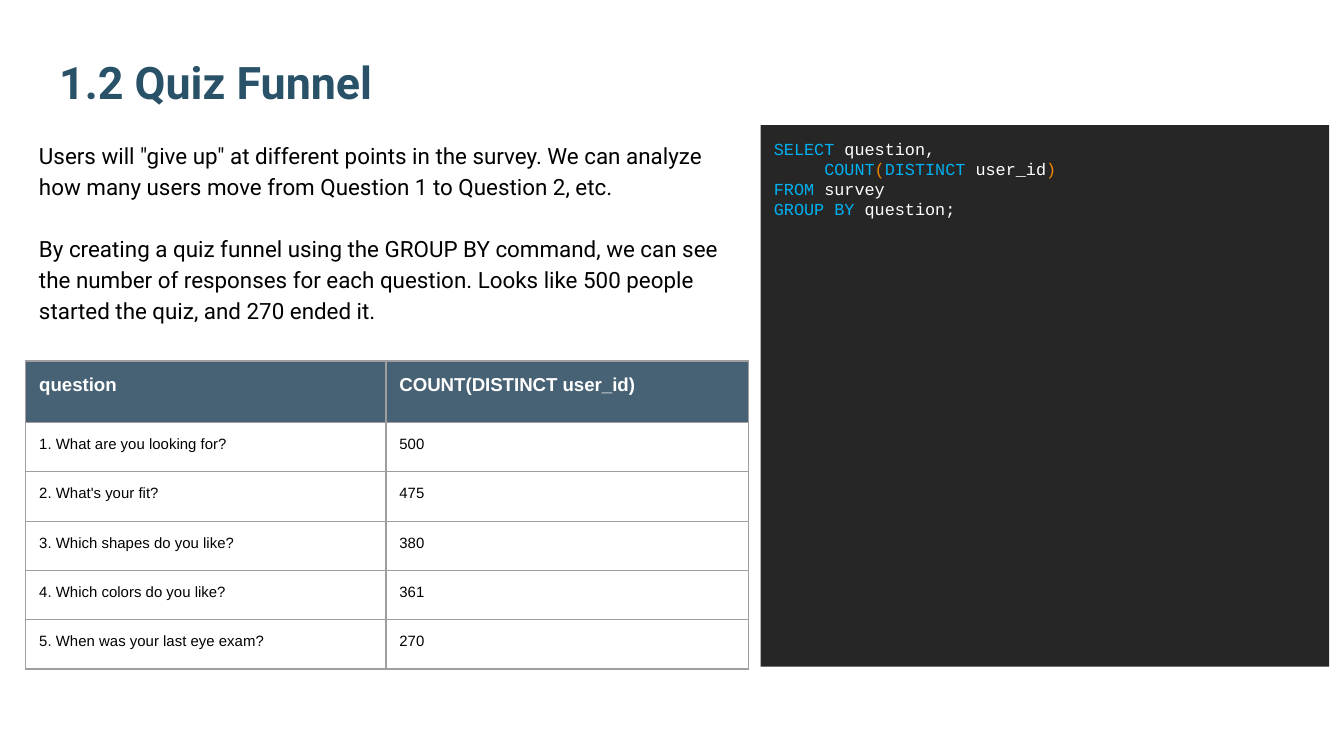
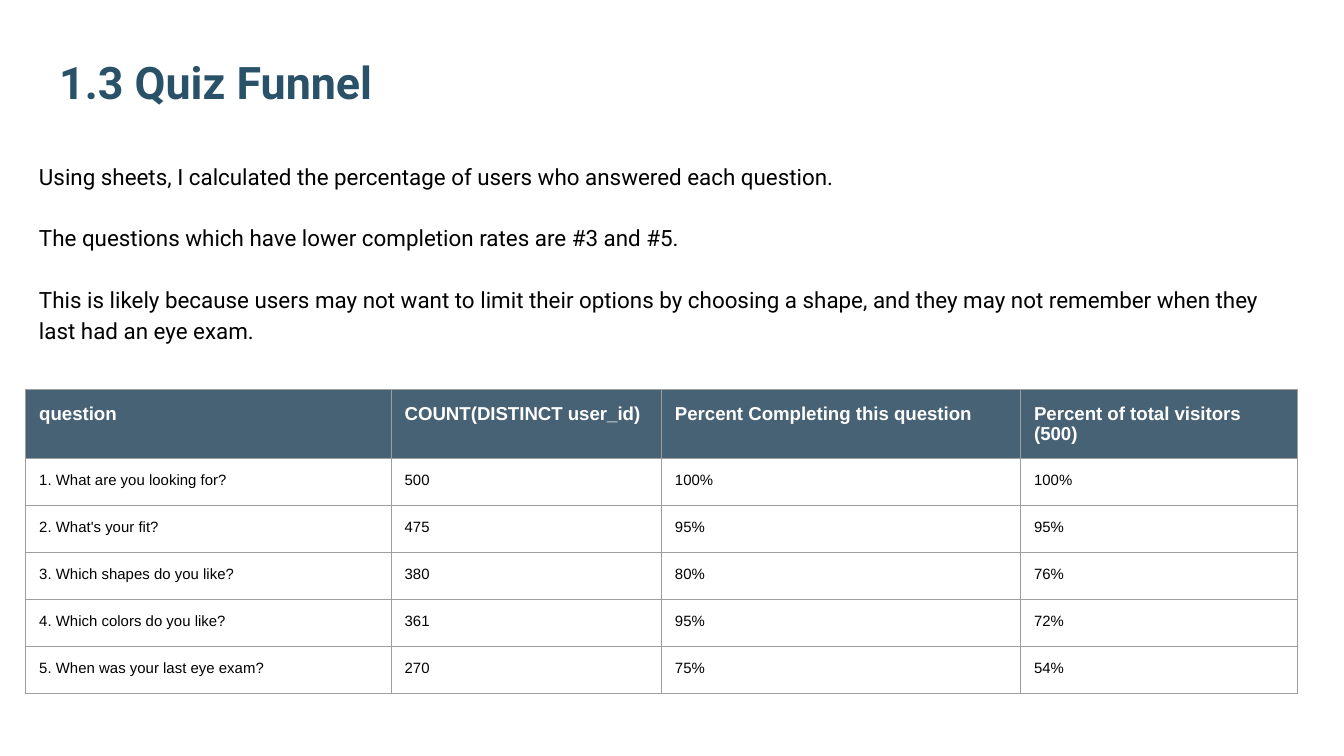
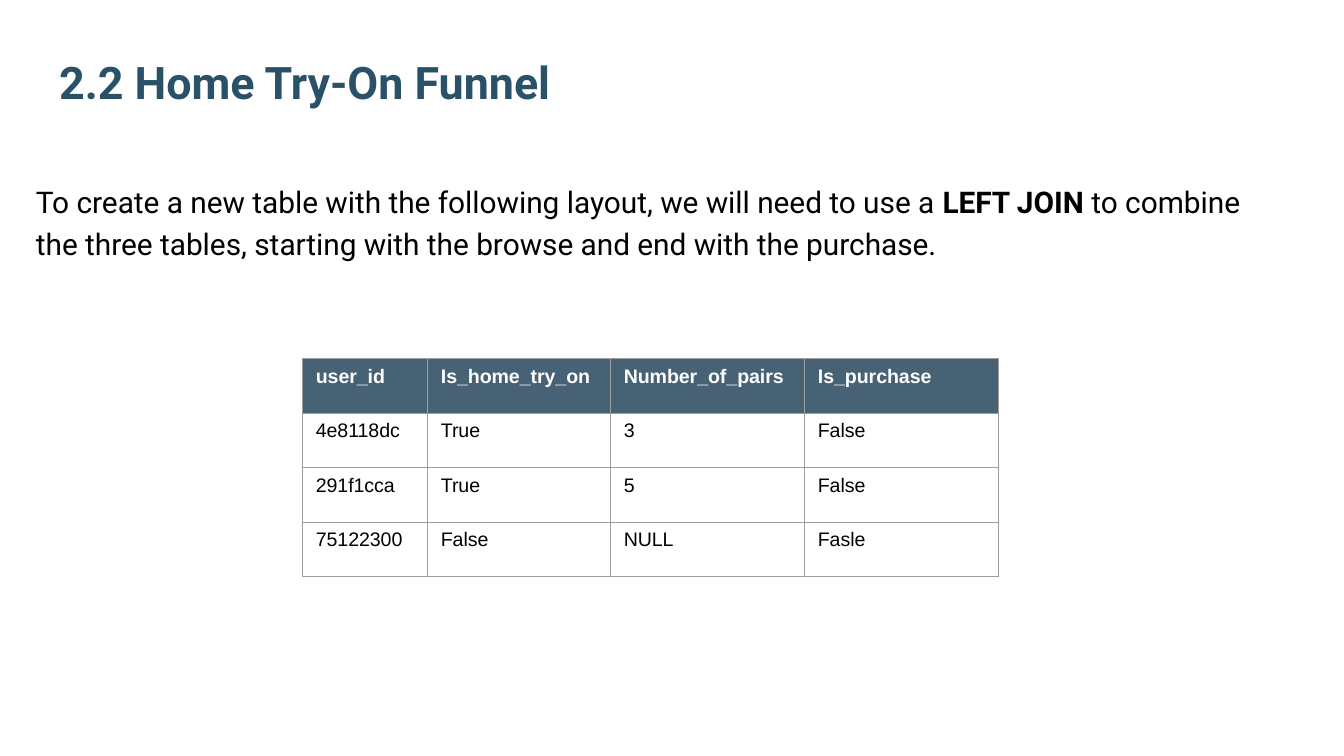
from lxml import etree
from pptx import Presentation
from pptx.dml.color import RGBColor
from pptx.enum.shapes import MSO_SHAPE
from pptx.enum.text import MSO_ANCHOR, MSO_AUTO_SIZE, PP_ALIGN
from pptx.oxml.ns import qn
from pptx.util import Pt

RECT = MSO_SHAPE.RECTANGLE
TOP, BOTTOM = MSO_ANCHOR.TOP, MSO_ANCHOR.BOTTOM
LEFT = PP_ALIGN.LEFT
NO_AUTOFIT = MSO_AUTO_SIZE.NONE

WHITE, BLACK = "FFFFFF", "000000"
TITLE_COLOR = "295269"
HEADER_FILL = "476274"
GRID = "9E9E9E"
CODE_FILL, KEYWORD, BRACKET = "262626", "00B0F0", "EF8600"

HEADING_FONT, TABLE_FONT, CODE_FONT = "Roboto", "Arial", "Courier New"
INSET = 7.2
LINE_SPACING = 1.15

QUIZ_HEADER = ["question", "COUNT(DISTINCT user_id)"]
QUIZ_ROWS = [
    ["1. What are you looking for?", "500"],
    ["2. What's your fit?", "475"],
    ["3. Which shapes do you like?", "380"],
    ["4. Which colors do you like?", "361"],
    ["5. When was your last eye exam?", "270"],
]
PERCENT_HEADER = ["Percent Completing this question",
                  "Percent of total visitors (500)"]
PERCENT_ROWS = [["100%", "100%"], ["95%", "95%"], ["80%", "76%"],
                ["95%", "72%"], ["75%", "54%"]]
TRY_ON_ROWS = [
    ["user_id", "Is_home_try_on", "Number_of_pairs", "Is_purchase"],
    ["4e8118dc", "True", "3", "False"],
    ["291f1cca", "True", "5", "False"],
    ["75122300", "False", "NULL", "Fasle"],
]
QUERY = [
    [("SELECT ", KEYWORD), ("question,", WHITE)],
    [("     ", WHITE), ("COUNT", KEYWORD), ("(", BRACKET),
     ("DISTINCT ", KEYWORD), ("user_id", WHITE), (")", BRACKET)],
    [("FROM ", KEYWORD), ("survey", WHITE)],
    [("GROUP BY ", KEYWORD), ("question;", WHITE)],
]


def rgb(color):
    return RGBColor.from_string(color)


def add_run(p, text, font, size, color, bold=False):
    r = p.add_run()
    r.text = text
    r.font.name = font
    r.font.size = Pt(size)
    r.font.color.rgb = rgb(color)
    r.font.bold = bold


def paragraphs(tf, count):
    """Return the frame's first paragraph followed by new ones, left aligned."""
    result = [tf.paragraphs[0]] + [tf.add_paragraph() for _ in range(count - 1)]
    for p in result:
        p.alignment = LEFT
    return result


def set_frame(tf, anchor=TOP):
    tf.word_wrap = True
    tf.auto_size = NO_AUTOFIT
    tf.vertical_anchor = anchor
    tf.margin_left = tf.margin_right = Pt(INSET)
    tf.margin_top = tf.margin_bottom = Pt(INSET)


def set_borders(cell, color, width):
    tc_pr = cell._tc.get_or_add_tcPr()
    for side in ("a:lnL", "a:lnR", "a:lnT", "a:lnB"):
        ln = etree.SubElement(tc_pr, qn(side), w=str(Pt(width)))
        fill = etree.SubElement(ln, qn("a:solidFill"))
        etree.SubElement(fill, qn("a:srgbClr"), val=color)


class Deck:
    def __init__(self):
        self.prs = Presentation()
        self.prs.slide_width, self.prs.slide_height = Pt(720), Pt(405)
        self.s = None

    def slide(self, title):
        self.s = self.prs.slides.add_slide(self.prs.slide_layouts[5])
        sp = self.s.shapes.title
        sp.left, sp.top, sp.width, sp.height = Pt(24.5), Pt(-0.7), Pt(671), Pt(66)
        set_frame(sp.text_frame, BOTTOM)
        p, = paragraphs(sp.text_frame, 1)
        add_run(p, title, HEADING_FONT, 24, TITLE_COLOR, bold=True)

    def body(self, box, size, *texts):
        """Add paragraphs a line apart; each is a list of (text, bold) runs."""
        tf = self.s.shapes.add_textbox(*map(Pt, box)).text_frame
        set_frame(tf)
        for i, (p, runs) in enumerate(zip(paragraphs(tf, len(texts)), texts)):
            p.line_spacing = LINE_SPACING
            p.space_before = Pt(1.38 * size if i else 0)
            for text, bold in runs:
                add_run(p, text, HEADING_FONT, size, BLACK, bold)

    def code(self, box, lines):
        sp = self.s.shapes.add_shape(RECT, *map(Pt, box))
        sp.shadow.inherit = False
        sp.fill.solid()
        sp.fill.fore_color.rgb = rgb(CODE_FILL)
        sp.line.fill.background()
        set_frame(sp.text_frame)
        for p, runs in zip(paragraphs(sp.text_frame, len(lines)), lines):
            for text, color in runs:
                add_run(p, text, CODE_FONT, 9, color)

    def table(self, left, top, widths, heights, rows, sizes, inset=INSET):
        """Add a grid; heights and sizes are (header row, other rows)."""
        row_heights = [heights[0]] + [heights[1]] * (len(rows) - 1)
        table = self.s.shapes.add_table(
            len(rows), len(widths), Pt(left), Pt(top),
            Pt(sum(widths)), Pt(sum(row_heights))).table
        table.horz_banding = False
        for column, width in zip(table.columns, widths):
            column.width = Pt(width)
        for i, (row, height) in enumerate(zip(table.rows, row_heights)):
            row.height = Pt(height)
            for cell, text in zip(row.cells, rows[i]):
                self.cell(cell, text, i == 0, sizes[min(i, 1)], inset)

    def cell(self, cell, text, header, size, inset):
        cell.margin_left = cell.margin_right = Pt(INSET)
        cell.margin_top = cell.margin_bottom = Pt(inset)
        set_borders(cell, GRID, 0.75)
        if header:
            cell.fill.solid()
            cell.fill.fore_color.rgb = rgb(HEADER_FILL)
        else:
            cell.fill.background()
        add_run(cell.text_frame.paragraphs[0], text, TABLE_FONT, size,
                WHITE if header else BLACK, header)


def main():
    deck = Deck()

    deck.slide("1.2 Quiz Funnel")
    deck.code((407.5, 67, 304.6, 290.2), QUERY)
    deck.body(
        (13.8, 67, 387.4, 123), 12,
        [('Users will "give up" at different points in the survey. We can '
          "analyze how many users move from Question 1 to Question 2, etc.", False)],
        [("By creating a quiz funnel using the GROUP BY command, we can see the "
          "number of responses for each question. Looks like 500 people started "
          "the quiz, and 270 ended it.", False)])
    deck.table(13.8, 193.4, [193, 194.4], (33, 26.4),
               [QUIZ_HEADER] + QUIZ_ROWS, (10, 8))

    deck.slide("1.3 Quiz Funnel")
    deck.body(
        (13.8, 77.8, 671, 124), 12,
        [("Using sheets, I calculated the percentage of users who answered "
          "each question.", False)],
        [("The questions which have lower completion rates are #3 and #5.", False)],
        [("This is likely because users may not want to limit their options by "
          "choosing a shape, and they may not remember when they last had an "
          "eye exam.", False)])
    percent_table = [QUIZ_HEADER + PERCENT_HEADER]
    percent_table += [quiz + percent
                      for quiz, percent in zip(QUIZ_ROWS, PERCENT_ROWS)]
    deck.table(13.8, 208.8, [195.8, 144.8, 192.4, 148.2], (33.8, 25.2),
               percent_table, (10, 8))

    deck.slide("2.2 Home Try-On Funnel")
    deck.body(
        (12.2, 88.6, 673, 103.7), 16,
        [("To create a new table with the following layout, we will need to "
          "use a ", False),
         ("LEFT JOIN ", True),
         ("to combine the three tables, starting with the browse and end with "
          "the purchase.", False)])
    deck.table(162, 192.2, [67, 98, 104, 104], (29.2, 29.2),
               TRY_ON_ROWS, (10.5, 10.5), inset=3.6)

    deck.prs.save("out.pptx")


if __name__ == "__main__":
    main()
